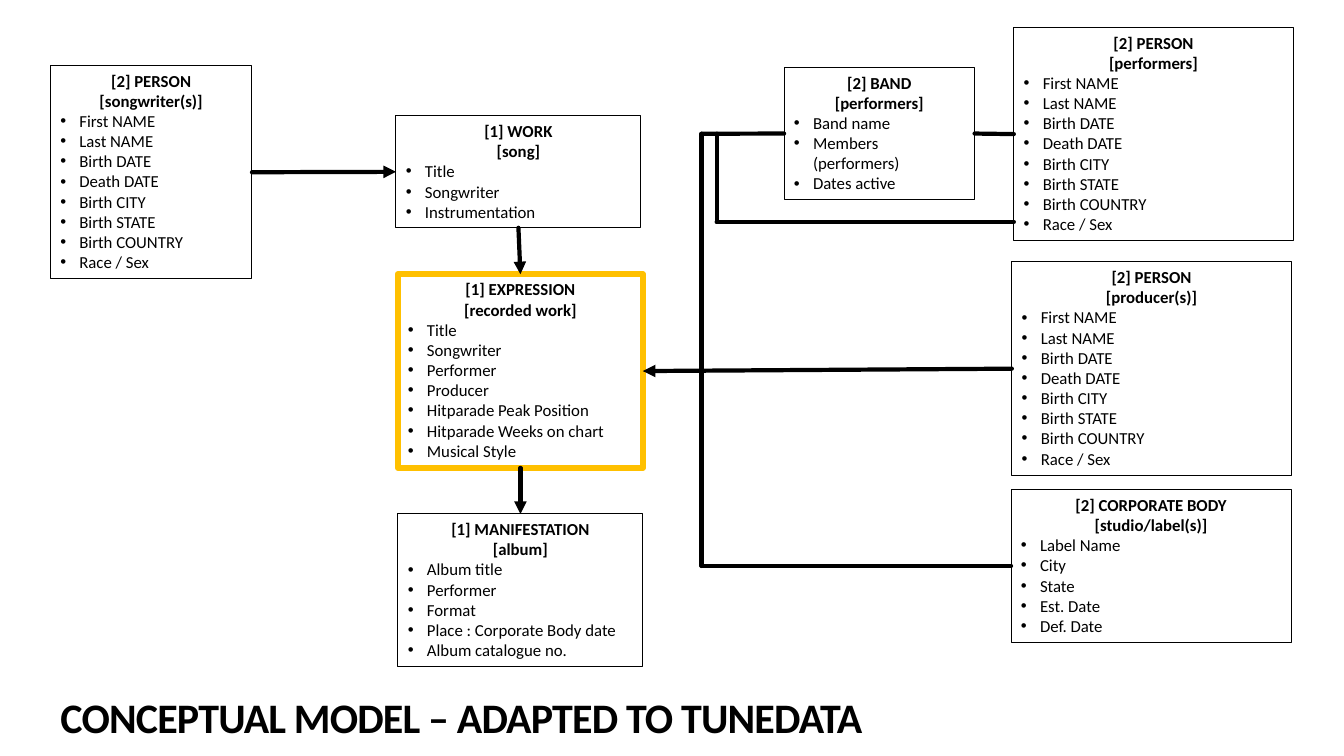
from dataclasses import dataclass

from lxml import etree
from pptx import Presentation
from pptx import util as u
from pptx.dml import color
from pptx.enum import shapes, text
from pptx.oxml import ns

BLACK = "000000"
GOLD = "FFC000"
FONT = "Calibri"
PERSON = ("First NAME", "Last NAME", "Birth DATE", "Death DATE",
          "Birth CITY", "Birth STATE", "Birth COUNTRY", "Race / Sex")
TOP, LEFT, BOTTOM, RIGHT = range(4)


@dataclass
class Box:
    key: str
    x: float
    y: float
    w: float
    h: float
    head: str
    role: str
    items: tuple
    edge: str = BLACK
    width: float = 0.75


@dataclass
class Link:
    """A line whose ends are either a point in cm or a (box key, side) pair."""
    start: tuple
    end: tuple
    arrow: bool = False


BOXES = [
    Box("work", 9.98, 2.92, 6.17, 2.82, "[1] WORK", "[song]",
        ("Title", "Songwriter", "Instrumentation")),
    Box("record", 10.03, 6.91, 6.17, 4.88, "[1] EXPRESSION", "[recorded work]",
        ("Title", "Songwriter", "Performer", "Producer",
         "Hitparade Peak Position", "Hitparade Weeks on chart",
         "Musical Style"), GOLD, 4.5),
    Box("album", 10.03, 12.95, 6.17, 3.84, "[1] MANIFESTATION", "[album]",
        ("Album title", "Performer", "Format",
         "Place : Corporate Body date", "Album catalogue no.")),
    Box("player", 25.55, 0.69, 7.04, 5.38, "[2] PERSON", "[performers]", PERSON),
    Box("maker", 25.5, 6.6, 7.04, 5.38, "[2] PERSON", "[producer(s)]", PERSON),
    Box("label", 25.48, 12.34, 7.06, 3.84, "[2] CORPORATE BODY",
        "[studio/label(s)]",
        ("Label Name", "City", "State", "Est. Date", "Def. Date")),
    Box("writer", 1.27, 1.65, 5.08, 5.38, "[2] PERSON", "[songwriter(s)]", PERSON),
    Box("band", 19.76, 1.7, 4.8, 3.33, "[2] BAND", "[performers]",
        ("Band name", "Members (performers)", "Dates active")),
]

# Corners of the bracket that gathers performers and label
TRUNK, BRANCH = 17.68, 18.06
HIGH, MID, LOW = 3.37, 5.59, 14.26

LINKS = [
    Link(("writer", RIGHT), ("work", LEFT), True),
    Link(("work", BOTTOM), ("record", TOP), True),
    Link(("record", BOTTOM), ("album", TOP), True),
    Link(("maker", LEFT), ("record", RIGHT), True),
    Link(("band", RIGHT), ("player", LEFT)),
    Link((TRUNK, HIGH), ("band", LEFT)),
    Link((TRUNK, HIGH), (TRUNK, LOW)),
    Link((TRUNK, LOW), ("label", LEFT)),
    Link((BRANCH, HIGH), (BRANCH, MID)),
    Link((BRANCH, MID), (25.55, MID)),
]


def paint(fmt, code: str) -> None:
    fmt.solid()
    fmt.fore_color.rgb = color.RGBColor.from_string(code)


def style(para, size: float, bold: bool) -> None:
    for run in para.runs:
        run.font.name = FONT
        run.font.size = u.Pt(size)
        run.font.bold = bold
        paint(run.font.fill, BLACK)


def bullet(para) -> None:
    props = para._p.get_or_add_pPr()
    props.set("marL", str(u.Cm(0.48)))
    props.set("indent", str(-u.Cm(0.48)))
    etree.SubElement(props, ns.qn("a:buFont")).set("typeface", "Arial")
    etree.SubElement(props, ns.qn("a:buChar")).set("char", "•")


def draw_box(slide, box: Box):
    shape = slide.shapes.add_shape(
        shapes.MSO_SHAPE.RECTANGLE,
        u.Cm(box.x), u.Cm(box.y), u.Cm(box.w), u.Cm(box.h))
    shape.shadow.inherit = False
    shape.fill.background()
    paint(shape.line.fill, box.edge)
    shape.line.width = u.Pt(box.width)
    frame = shape.text_frame
    frame.word_wrap = True
    frame.auto_size = text.MSO_AUTO_SIZE.SHAPE_TO_FIT_TEXT
    frame.vertical_anchor = text.MSO_ANCHOR.TOP
    frame.text = "\n".join((box.head, box.role, *box.items))
    for row, para in enumerate(frame.paragraphs):
        title = row < 2
        para.alignment = text.PP_ALIGN.CENTER if title else text.PP_ALIGN.LEFT
        style(para, 12, title)
        if not title:
            bullet(para)
    return shape


def draw_link(slide, link: Link, drawn: dict) -> None:
    line = slide.shapes.add_connector(shapes.MSO_CONNECTOR.STRAIGHT, 0, 0, 0, 0)
    if link.start[0] in drawn:
        line.begin_connect(drawn[link.start[0]], link.start[1])
    else:
        line.begin_x, line.begin_y = map(u.Cm, link.start)
    if link.end[0] in drawn:
        line.end_connect(drawn[link.end[0]], link.end[1])
    else:
        line.end_x, line.end_y = map(u.Cm, link.end)
    paint(line.line.fill, BLACK)
    line.line.width = u.Pt(3)
    stroke = line.line._get_or_add_ln()
    stroke.set("cap", "rnd")
    if link.arrow:
        etree.SubElement(stroke, ns.qn("a:tailEnd")).set("type", "triangle")
    etree.SubElement(line._element.spPr, ns.qn("a:effectLst"))


def draw_title(slide) -> None:
    title = slide.shapes.title
    title.left, title.top = u.Cm(1.27), u.Cm(17.04)
    title.width, title.height = u.Cm(32.59), u.Cm(2.21)
    frame = title.text_frame
    frame.text = "CONCEPTUAL MODEL – ADAPTED TO TUNEDATA"
    frame.word_wrap = True
    frame.auto_size = text.MSO_AUTO_SIZE.NONE
    frame.vertical_anchor = text.MSO_ANCHOR.MIDDLE
    para = frame.paragraphs[0]
    para.alignment = text.PP_ALIGN.LEFT
    para.line_spacing = 0.9
    style(para, 30, True)
    para.runs[0].font._element.set("spc", "-60")


def main() -> None:
    deck = Presentation()
    deck.slide_width, deck.slide_height = u.Cm(33.87), u.Cm(19.05)
    slide = deck.slides.add_slide(deck.slide_layouts[5])
    # Entities, then their relations
    drawn = {box.key: draw_box(slide, box) for box in BOXES}
    for link in LINKS:
        draw_link(slide, link, drawn)
    # Heading at the foot
    draw_title(slide)
    deck.save("out.pptx")


if __name__ == "__main__":
    main()
